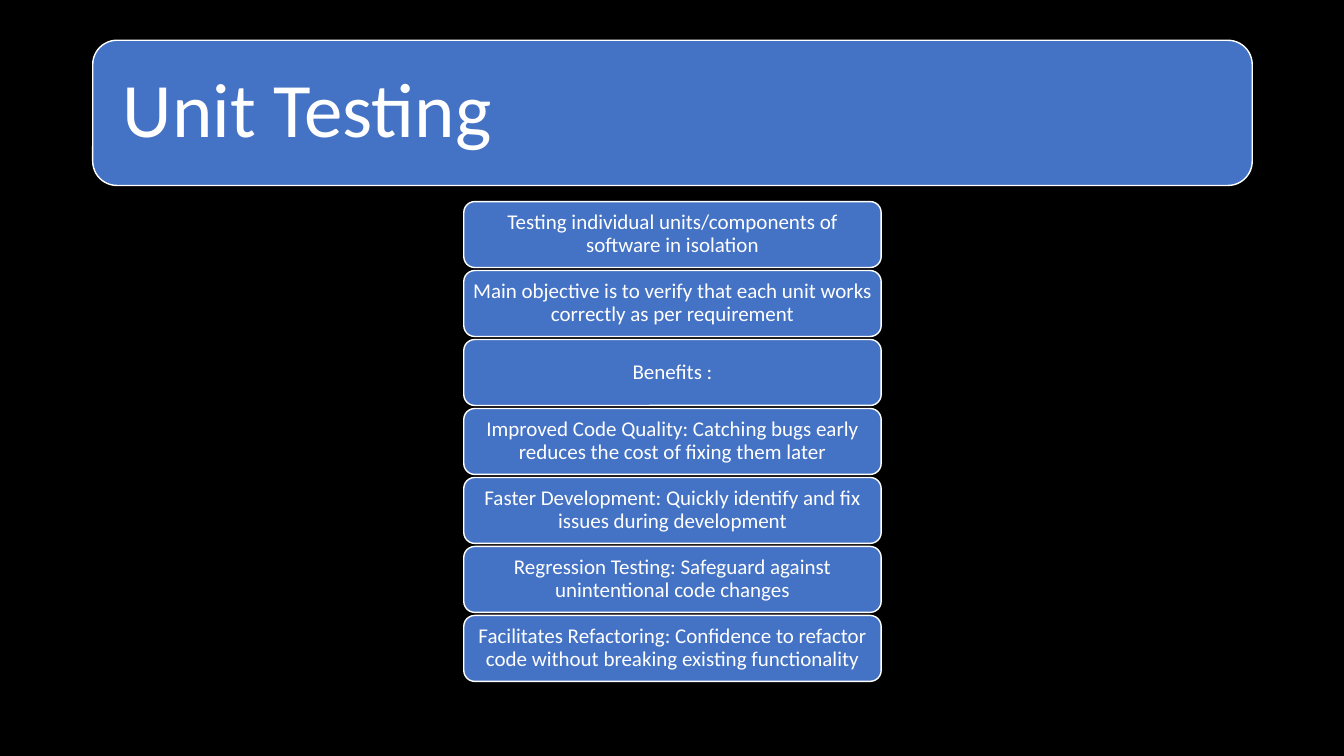
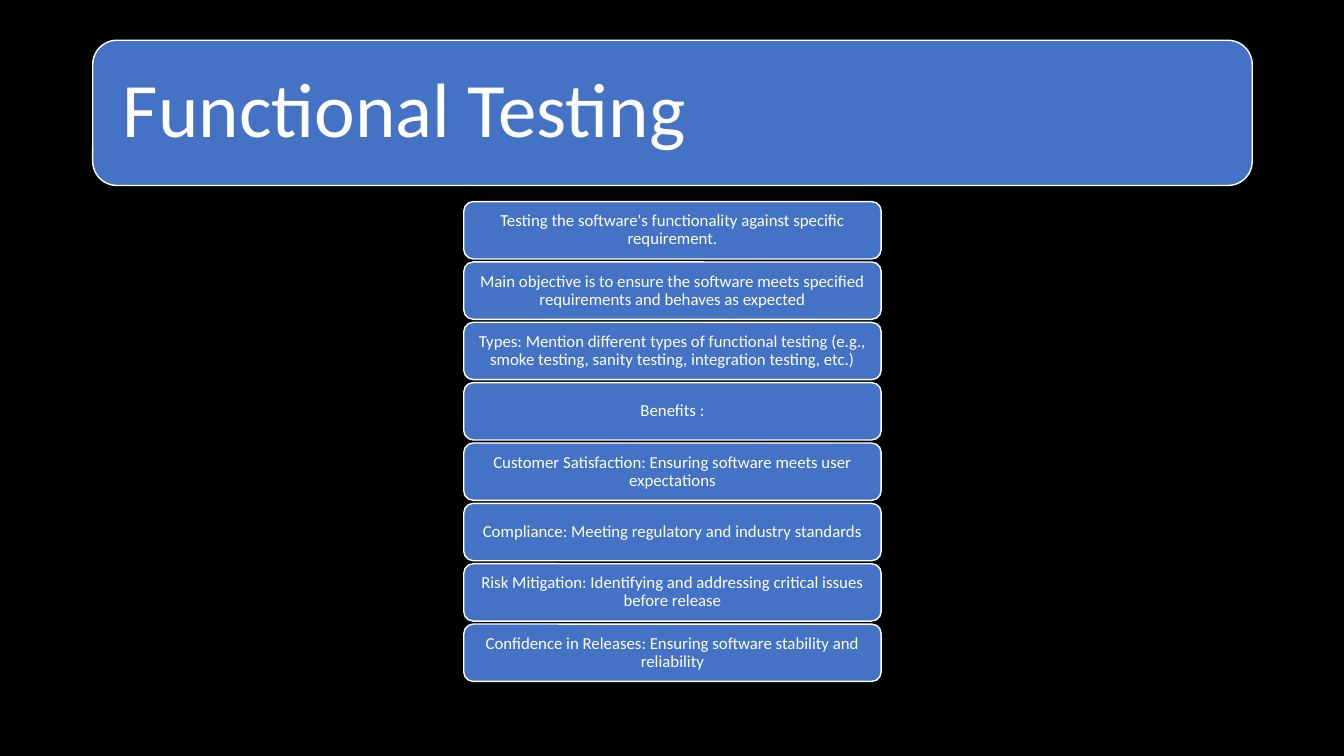
"""Build two slides on software testing: a title band above a column of points."""
from pptx import Presentation
from pptx import util as u
from pptx.dml.color import RGBColor
from pptx.enum import shapes, text

BLACK = RGBColor(0x00, 0x00, 0x00)
BLUE = RGBColor(0x44, 0x72, 0xC4)
WHITE = RGBColor(0xFF, 0xFF, 0xFF)
FONT = "Calibri"

SLIDE_WIDTH, SLIDE_HEIGHT = 13.33, 7.5
BAND_LEFT, BAND_TOP, BAND_WIDTH, BAND_HEIGHT = 0.92, 0.4, 11.5, 1.44
COLUMN_WIDTH = 0.36 * BAND_WIDTH
COLUMN_LEFT = BAND_LEFT + (BAND_WIDTH - COLUMN_WIDTH) / 2
COLUMN_TOP, COLUMN_HEIGHT, ROW_GAP = 2.0, 4.76, 0.03

TOPICS = [
    ("Unit Testing", 15, 0.06, [
        "Testing individual units/components of software in isolation",
        "Main objective is to verify that each unit works correctly as per requirement",
        "Benefits :",
        "Improved Code Quality: Catching bugs early reduces the cost of fixing them later",
        "Faster Development: Quickly identify and fix issues during development",
        "Regression Testing: Safeguard against unintentional code changes",
        "Facilitates Refactoring: Confidence to refactor code without breaking existing functionality",
    ]),
    ("Functional Testing", 12, 0.05, [
        "Testing the software's functionality against specific requirement.",
        "Main objective is to ensure the software meets specified requirements and behaves as expected",
        "Types: Mention different types of functional testing (e.g., smoke testing, sanity testing, "
        "integration testing, etc.)",
        "Benefits :",
        "Customer Satisfaction: Ensuring software meets user expectations",
        "Compliance: Meeting regulatory and industry standards",
        "Risk Mitigation: Identifying and addressing critical issues before release",
        "Confidence in Releases: Ensuring software stability and reliability",
    ]),
]


def write_text(frame, wording, *, size, align, inset_x, inset_y):
    """Put one formatted paragraph into a text frame."""
    frame.word_wrap = True
    frame.vertical_anchor = text.MSO_ANCHOR.MIDDLE
    frame.margin_left = frame.margin_right = u.Inches(inset_x)
    frame.margin_top = frame.margin_bottom = u.Inches(inset_y)
    paragraph = frame.paragraphs[0]
    paragraph.alignment = align
    paragraph.line_spacing = 0.9
    run = paragraph.add_run()
    run.text = wording
    run.font.name = FONT
    run.font.size = u.Pt(size)
    run.font.color.rgb = WHITE


def add_card(slide, left, top, width, height, wording, **text_format):
    """Add a blue rounded card with a white outline and its wording."""
    card = slide.shapes.add_shape(
        shapes.MSO_SHAPE.ROUNDED_RECTANGLE,
        *(u.Inches(length) for length in (left, top, width, height)))
    card.shadow.inherit = False
    card.fill.solid()
    card.fill.fore_color.rgb = BLUE
    card.line.color.rgb = WHITE
    card.line.width = u.Pt(1)
    write_text(card.text_frame, wording, **text_format)


def add_title_band(slide, title):
    """Add the wide band that carries the slide title."""
    add_card(slide, BAND_LEFT, BAND_TOP, BAND_WIDTH, BAND_HEIGHT, title,
             size=55, align=text.PP_ALIGN.LEFT, inset_x=0.23, inset_y=0.23)


def add_point_column(slide, points, size, inset):
    """Share the column height evenly among the points."""
    pitch = (COLUMN_HEIGHT + ROW_GAP) / len(points)
    for row, point in enumerate(points):
        add_card(slide, COLUMN_LEFT, COLUMN_TOP + row * pitch, COLUMN_WIDTH,
                 pitch - ROW_GAP, point, size=size, align=text.PP_ALIGN.CENTER,
                 inset_x=inset, inset_y=0.03)


def add_topic_slide(deck, title, size, inset, points):
    """Add one black slide for a testing topic."""
    slide = deck.slides.add_slide(deck.slide_layouts[6])
    slide.background.fill.solid()
    slide.background.fill.fore_color.rgb = BLACK
    add_title_band(slide, title)
    add_point_column(slide, points, size, inset)


def main():
    """Build the deck and save it."""
    deck = Presentation()
    deck.slide_width = u.Inches(SLIDE_WIDTH)
    deck.slide_height = u.Inches(SLIDE_HEIGHT)
    for topic in TOPICS:
        add_topic_slide(deck, *topic)
    deck.save("out.pptx")


if __name__ == "__main__":
    main()
